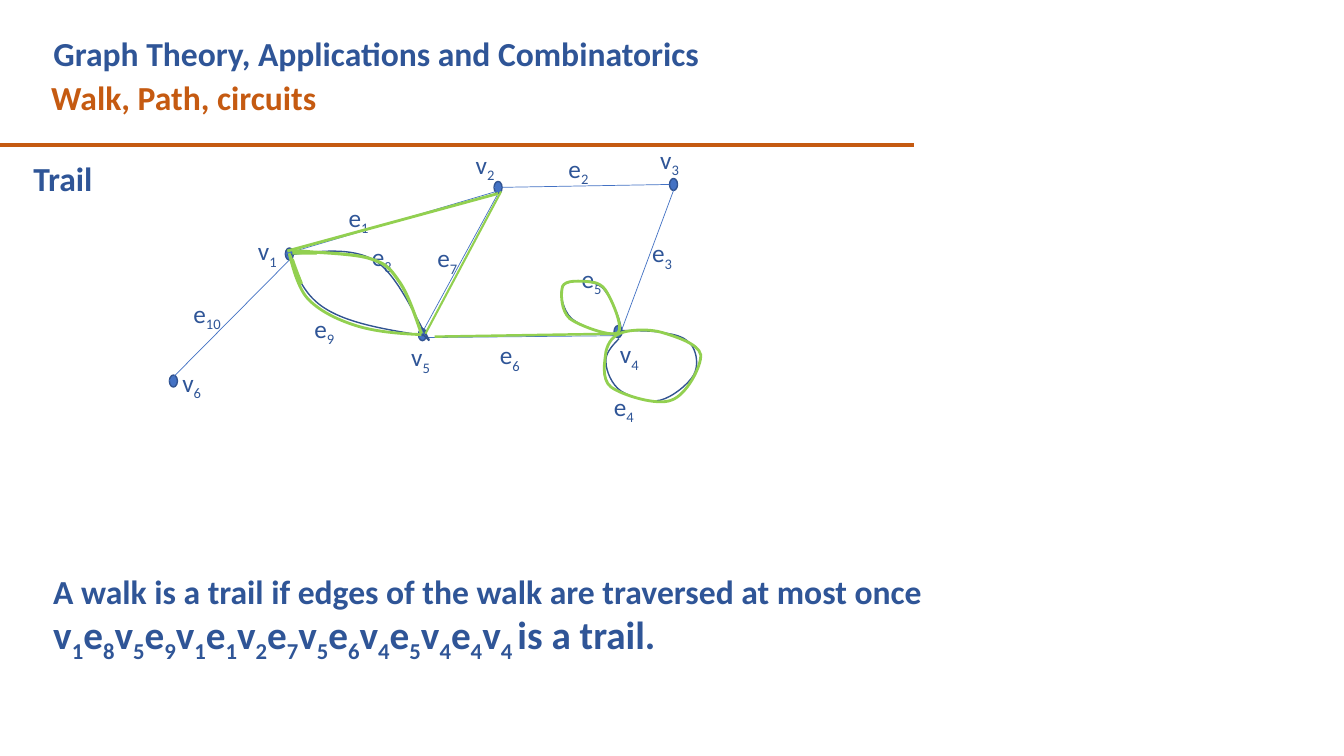
from dataclasses import dataclass
from lxml import etree
from pptx import Presentation
from pptx import util as u
from pptx.dml.color import RGBColor
from pptx.enum import shapes, text
from pptx.oxml.ns import qn


class Theme:
    font = "Calibri"
    ink, accent = "2F5597", "C55A11"
    node, outline, trail = "4472C4", "325491", "92D050"
    heading, label, walk = 24, 18, 28


@dataclass
class Box:
    """A region in inches; its grid has cells of 0.01 inch."""
    left: float
    top: float
    width: float
    height: float

    def emu(self):
        return [u.Inches(v) for v in (self.left, self.top, self.width, self.height)]

    def at(self, col, row):
        return u.Inches(self.left + col / 100), u.Inches(self.top + row / 100)

    def cells(self, col, row, cols, rows):
        return Box(self.left + col / 100, self.top + row / 100, cols / 100, rows / 100)


# Vertex: centre, then top left of its label
VERTICES = {
    "v2": ((394, 86), (362, 43)),
    "v3": ((568, 83), (545, 38)),
    "v5": ((319, 232), (298, 234)),
    "v4": ((513, 229), (505, 231)),
    "v1": ((187, 152), (146, 129)),
    "v6": ((72, 278), (71, 259)),
}
EDGE_LABELS = {
    "e1": (236, 96), "e2": (454, 47), "e3": (537, 131), "e4": (499, 283),
    "e5": (467, 156), "e6": (386, 232), "e7": (324, 136), "e8": (259, 134),
    "e9": (202, 206), "e10": (82, 191),
}
STRAIGHT_EDGES = [
    ((68, 278), (187, 158)), ((183, 152), (392, 90)), ((390, 86), (564, 83)),
    ((568, 89), (516, 229)), ((394, 92), (316, 235)), ((316, 235), (515, 233)),
]
# Curves: a start point followed by triples of Bézier points
CURVED_EDGES = [
    [(185, 153), (217, 149), (248, 145), (271, 158), (294, 171), (314, 219), (322, 231),
     (330, 243), (324, 237), (319, 231)],
    [(187, 153), (194, 173), (202, 194), (224, 207), (247, 221), (283, 227), (320, 233)],
    [(515, 231), (510, 236), (476, 224), (467, 216), (458, 208), (454, 188), (459, 183),
     (464, 177), (488, 177), (497, 185), (506, 193), (520, 226), (515, 231)],
    [(514, 236), (507, 243), (500, 251), (501, 259), (501, 268), (507, 282), (516, 288),
     (526, 294), (544, 300), (555, 297), (567, 294), (583, 281), (588, 272),
     (593, 263), (591, 251), (587, 244), (582, 237), (576, 233), (563, 231),
     (551, 228), (532, 228), (513, 228)],
]
TRAIL_LINES = [
    ((397, 90), (322, 231), 1.5), ((331, 234), (515, 231), 1.75), ((185, 149), (394, 92), 2),
]
TRAIL_CURVES = [
    ([(513, 230), (519, 225), (506, 195), (500, 187), (494, 179), (486, 180), (479, 179),
      (472, 179), (461, 178), (458, 184), (456, 190), (456, 208), (465, 216),
      (474, 223), (507, 235), (513, 230)], 2),
    ([(318, 231), (311, 211), (304, 190), (295, 178), (286, 165), (282, 161), (265, 156),
      (248, 151), (201, 150), (192, 149), (184, 148), (215, 150), (214, 151),
      (214, 151), (202, 151), (190, 151)], 2.25),
    ([(318, 232), (295, 231), (272, 229), (253, 223), (234, 217), (216, 208), (205, 196),
      (194, 184), (188, 155), (187, 152), (186, 149), (198, 180), (199, 181),
      (199, 181), (194, 169), (190, 157)], 2),
    ([(517, 230), (526, 227), (544, 226), (557, 230), (570, 234), (593, 241), (595, 252),
      (596, 263), (581, 292), (566, 297), (552, 303), (517, 292), (506, 284),
      (496, 276), (500, 258), (501, 249), (503, 240), (508, 233), (517, 230)], 2),
]
WALK = "v1 e8 v5 e9 v1 e1 v2 e7 v5 e6 v4 e5 v4 e4 v4"


def add_run(p, words, size, color=Theme.ink, bold=False, sub=False):
    r = p.add_run()
    r.text = words
    for key, value in dict(name=Theme.font, size=u.Pt(size), bold=bold).items():
        setattr(r.font, key, value)
    r.font.color.rgb = RGBColor.from_string(color)
    if sub:
        r._r.get_or_add_rPr().set("baseline", "-25000")


def add_name(p, name, size, bold=False, gap=""):
    """Writes a letter with its number as a subscript."""
    add_run(p, name[0], size, bold=bold)
    add_run(p, name[1:] + gap, size, bold=bold, sub=True)


def text_frame(sp, box, fit=text.MSO_AUTO_SIZE.SHAPE_TO_FIT_TEXT):
    sp.left, sp.top, sp.width, sp.height = box.emu()
    tf = sp.text_frame
    for key, value in dict(word_wrap=True, auto_size=fit,
                           vertical_anchor=text.MSO_ANCHOR.TOP).items():
        setattr(tf, key, value)
    return tf


def text_box(parts, box):
    return text_frame(parts.add_textbox(*box.emu()), box)


def style_line(sp, color, width):
    sp.line.color.rgb = RGBColor.from_string(color)
    sp.line.width = u.Pt(width)


def add_line(parts, box, start, end, color, width):
    line = parts.add_connector(shapes.MSO_CONNECTOR.STRAIGHT, *box.at(*start), *box.at(*end))
    style_line(line, color, width)
    etree.SubElement(line._element.spPr, qn("a:effectLst"))


def curve_extent(points, steps=20):
    """Gives the left, top, right and bottom that the Bézier curve reaches."""
    reached = [tuple((1 - t) ** 3 * a + 3 * t * (1 - t) ** 2 * b
                     + 3 * t * t * (1 - t) * c + t ** 3 * d
                     for a, b, c, d in zip(*points[i:i + 4]))
               for i in range(0, len(points) - 1, 3)
               for t in (n / steps for n in range(steps + 1))]
    xs, ys = zip(*reached)
    return [round(v) for v in (min(xs), min(ys), max(xs), max(ys))]


def add_curve(parts, box, knots, color, width):
    points = [box.at(*knot) for knot in knots]
    closed = knots[0] == knots[-1]
    builder = parts.build_freeform(*points[0])
    builder.add_line_segments(points[3::3], close=closed)
    sp = builder.convert_to_shape()
    left, top, right, bottom = curve_extent(points)
    sp.left, sp.top, sp.width, sp.height = left, top, right - left, bottom - top

    path = next(sp._element.iter(qn("a:path")))
    path.set("w", str(right - left))
    path.set("h", str(bottom - top))
    for step in list(path):
        path.remove(step)
    steps = [("a:moveTo", points[:1])]
    steps += [("a:cubicBezTo", points[i:i + 3]) for i in range(1, len(points), 3)]
    for tag, ends in steps + [("a:close", [])] * closed:
        step = etree.SubElement(path, qn(tag))
        for x, y in ends:
            etree.SubElement(step, qn("a:pt"), x=str(x - left), y=str(y - top))

    sp.shadow.inherit = False
    sp.fill.background()
    style_line(sp, color, width)


def add_vertex(parts, box, centre):
    x, y = centre
    dot = parts.add_shape(shapes.MSO_SHAPE.OVAL, *box.cells(x - 4, y - 6, 8, 12).emu())
    dot.shadow.inherit = False
    dot.fill.solid()
    dot.fill.fore_color.rgb = RGBColor.from_string(Theme.node)
    style_line(dot, Theme.outline, 1)


def header(s, box):
    title = text_frame(s.shapes.title, box.cells(43, 28, 820, 50))
    subtitle = text_box(s.shapes, box.cells(41, 71, 875, 50))
    for tf, words, color in ((title, "Graph Theory, Applications and Combinatorics", Theme.ink),
                             (subtitle, "Walk, Path, circuits", Theme.accent)):
        tf.paragraphs[0].alignment = text.PP_ALIGN.LEFT
        add_run(tf.paragraphs[0], words, Theme.heading, color, bold=True)
    add_line(s.shapes, box, (-1, 144), (907, 144), Theme.accent, 3)


def topic(s, box):
    p = text_frame(s.placeholders[1], box, text.MSO_AUTO_SIZE.NONE).paragraphs[0]
    pPr = p._p.get_or_add_pPr()
    pPr.set("marL", "0")
    pPr.set("indent", "0")
    etree.SubElement(pPr, qn("a:buNone"))
    for key, value in dict(alignment=text.PP_ALIGN.JUSTIFY, line_spacing=0.9,
                           space_before=u.Pt(0)).items():
        setattr(p, key, value)
    add_run(p, "Trail", Theme.heading, bold=True)


def graph(s, box):
    parts = s.shapes.add_group_shape().shapes
    for centre, _ in VERTICES.values():
        add_vertex(parts, box, centre)
    for start, end in STRAIGHT_EDGES:
        add_line(parts, box, start, end, Theme.node, 0.5)
    for knots in CURVED_EDGES:
        add_curve(parts, box, knots, Theme.outline, 1)
    labels = {name: corner for name, (_, corner) in VERTICES.items()} | EDGE_LABELS
    for name, corner in labels.items():
        tf = text_box(parts, box.cells(*corner, 66, 40))
        add_name(tf.paragraphs[0], name, Theme.label)


def trail(s, box):
    for start, end, width in TRAIL_LINES:
        add_line(s.shapes, box, start, end, Theme.trail, width)
    for knots, width in TRAIL_CURVES:
        add_curve(s.shapes, box, knots, Theme.trail, width)


def definition(s, box):
    tf = text_box(s.shapes, box)
    add_run(tf.paragraphs[0], "A walk is a trail if edges of the walk are traversed at most once",
            Theme.heading, bold=True)
    p = tf.add_paragraph()
    *names, last = WALK.split()
    for name in names:
        add_name(p, name, Theme.walk, bold=True)
    add_name(p, last, Theme.walk, bold=True, gap=" ")
    add_run(p, "is a trail.", Theme.walk, bold=True)


def main():
    prs = Presentation()
    prs.slide_width, prs.slide_height = u.Inches(13.33), u.Inches(7.5)
    s = prs.slides.add_slide(prs.slide_layouts[1])
    diagram = Box(1, 1, 6, 3.2)
    header(s, Box(0, 0, 13.33, 1.5))
    topic(s, Box(0.23, 1.56, 10.32, 0.55))
    graph(s, diagram)
    definition(s, Box(0.43, 5.61, 10.13, 0.98))
    trail(s, diagram)
    prs.save("out.pptx")


if __name__ == "__main__":
    main()
